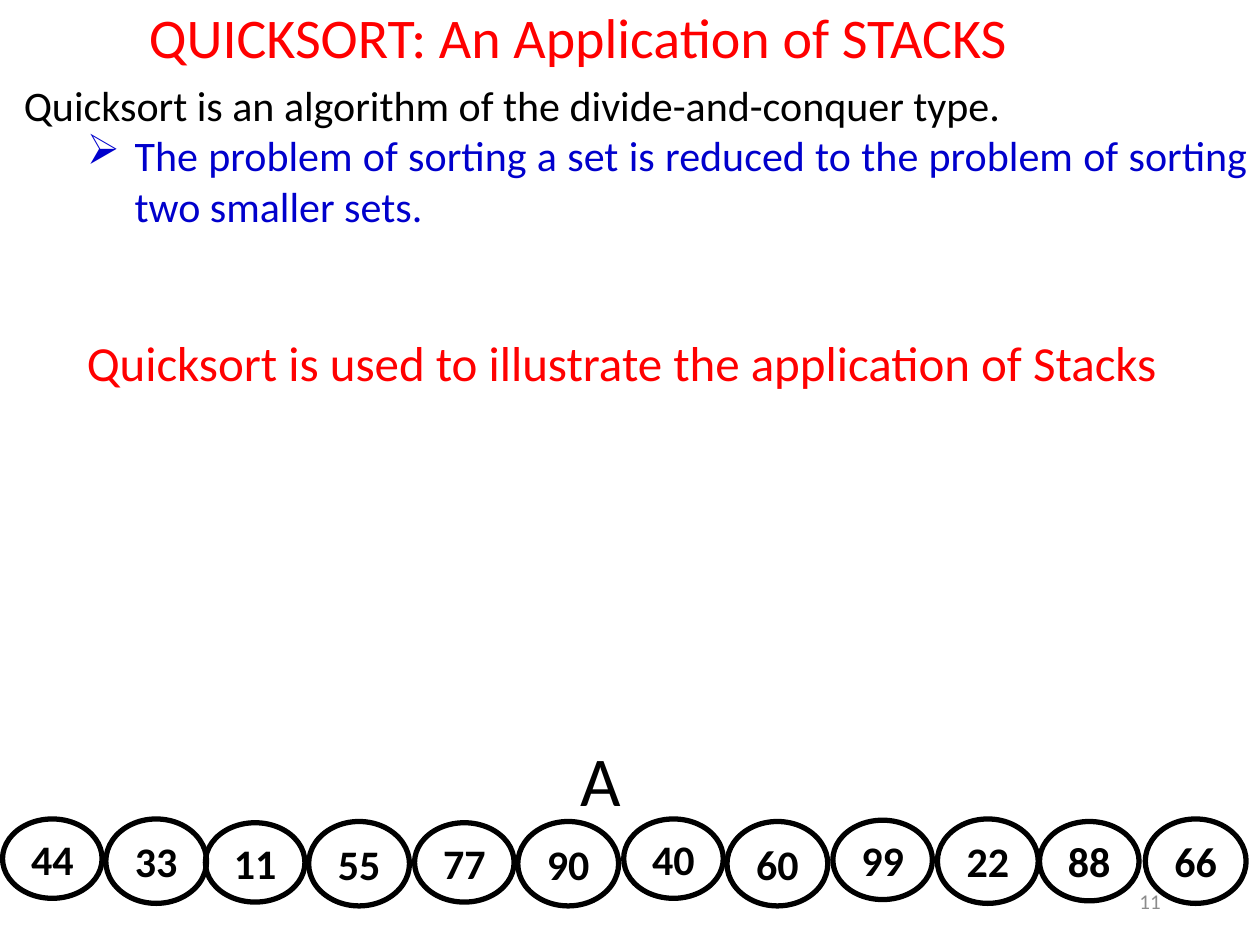
from dataclasses import dataclass
from typing import NamedTuple

from lxml import etree
from pptx import Presentation
from pptx import util as u
from pptx.dml.color import RGBColor
from pptx.enum import shapes, text
from pptx.oxml import ns

EMU_PER_PX = 9144


@dataclass(frozen=True)
class Theme:
    font: str = "Calibri"
    ink: str = "000000"
    accent: str = "FF0000"
    detail: str = "0000CC"
    muted: str = "8C8C8C"
    title: int = 32
    body: int = 24
    remark: int = 28
    array_name: int = 40
    page: int = 12
    outline: int = 3


class Box(NamedTuple):
    left: int
    top: int
    width: int
    height: int


class Element(NamedTuple):
    value: int
    box: Box


THEME = Theme()
LOW, TALL = (79, 63), (80, 67)
ELEMENTS = [
    Element(44, Box(2, 650, *LOW)),
    Element(33, Box(84, 650, *TALL)),
    Element(11, Box(163, 653, *LOW)),
    Element(55, Box(245, 652, *TALL)),
    Element(77, Box(329, 653, *LOW)),
    Element(90, Box(411, 652, *TALL)),
    Element(40, Box(495, 650, *LOW)),
    Element(60, Box(577, 652, *TALL)),
    Element(99, Box(661, 651, *LOW)),
    Element(22, Box(744, 650, *TALL)),
    Element(88, Box(825, 652, *LOW)),
    Element(66, Box(909, 650, *TALL)),
]


def px(length: int) -> int:
    return u.Emu(length * EMU_PER_PX)


def place(box: Box) -> list[int]:
    return [px(length) for length in box]


def write(frame, words: str, *, size: int, color: str = THEME.ink,
          bold: bool = False, align=text.PP_ALIGN.LEFT, level: int = 0,
          margin: int = 0, indent: int = 0, bullet: str = "",
          before: float = 0) -> None:
    first = frame.paragraphs[0]
    paragraph = frame.add_paragraph() if first.runs else first
    paragraph.alignment = align
    paragraph.level = level
    paragraph.space_before = u.Pt(before)
    run = paragraph.add_run()
    run.text = words
    run.font.name = THEME.font
    run.font.size = u.Pt(size)
    run.font.bold = bold
    run.font.color.rgb = RGBColor.from_string(color)
    properties = paragraph._p.get_or_add_pPr()
    properties.set("marL", str(px(margin)))
    properties.set("indent", str(px(indent)))
    if bullet:
        mark = etree.SubElement(properties, ns.qn("a:buChar"))
        mark.set("char", bullet)
    else:
        etree.SubElement(properties, ns.qn("a:buNone"))


def add_frame(slide, box: Box, anchor=text.MSO_ANCHOR.TOP):
    frame = slide.shapes.add_textbox(*place(box)).text_frame
    frame.word_wrap = True
    frame.vertical_anchor = anchor
    return frame


def draw_element(slide, element: Element) -> None:
    circle = slide.shapes.add_shape(shapes.MSO_SHAPE.OVAL, *place(element.box))
    circle.shadow.inherit = False
    circle.fill.background()
    circle.line.color.rgb = RGBColor.from_string(THEME.ink)
    circle.line.width = u.Pt(THEME.outline)
    circle.text_frame.vertical_anchor = text.MSO_ANCHOR.MIDDLE
    write(circle.text_frame, str(element.value), size=THEME.body, bold=True,
          align=text.PP_ALIGN.CENTER)


def main() -> None:
    deck = Presentation()
    deck.slide_width, deck.slide_height = px(1000), px(750)
    slide = deck.slides.add_slide(deck.slide_layouts[6])

    write(add_frame(slide, Box(9, -3, 900, 64)),
          "QUICKSORT: An Application of STACKS", size=THEME.title,
          color=THEME.accent, align=text.PP_ALIGN.CENTER)
    write(add_frame(slide, Box(706, 695, 225, 40), text.MSO_ANCHOR.MIDDLE),
          "11", size=THEME.page, color=THEME.muted, align=text.PP_ALIGN.RIGHT)

    body = add_frame(slide, Box(9, 58, 991, 300))
    justify = text.PP_ALIGN.JUSTIFY
    write(body, "Quicksort is an algorithm of the divide-and-conquer type.",
          size=THEME.body, align=justify)
    write(body, "The problem of sorting a set is reduced to the problem of "
          "sorting two smaller sets.", size=THEME.body, color=THEME.detail,
          align=justify, level=1, margin=88, indent=-38, bullet="➢")
    write(body, "Quicksort is used to illustrate the application of Stacks",
          size=THEME.remark, color=THEME.accent, align=justify, level=1,
          margin=50, before=58.6)

    for element in ELEMENTS:
        draw_element(slide, element)
    write(add_frame(slide, Box(451, 580, 61, 77)), "A", size=THEME.array_name)

    deck.save("out.pptx")


if __name__ == "__main__":
    main()
